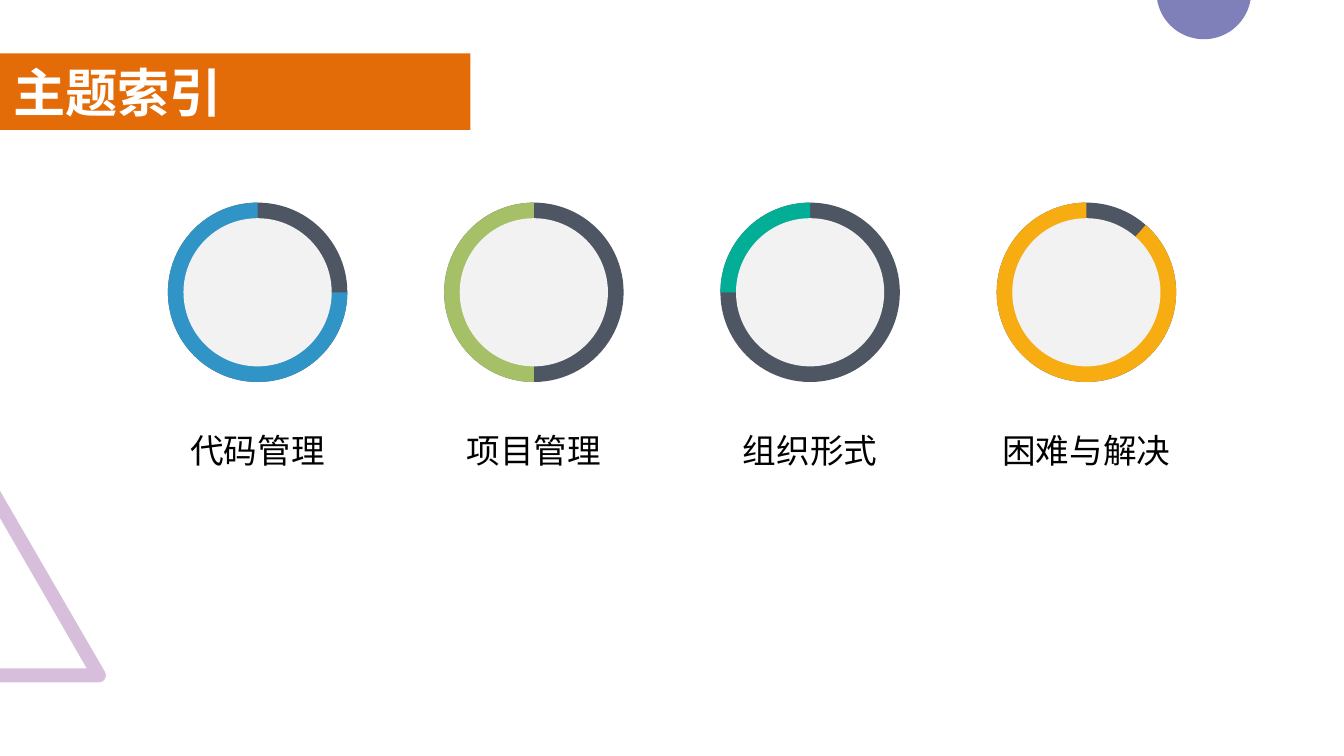
from math import cos, radians, sin

from lxml.etree import SubElement
from pptx import Presentation
from pptx.dml.color import RGBColor
from pptx.enum.shapes import MSO_SHAPE as Preset
from pptx.enum.text import PP_ALIGN as Align
from pptx.oxml.ns import qn
from pptx.util import Inches, Pt

WIDTH, HEIGHT = 13.33, 7.5
COLUMN_LEFT, COLUMN = 1.185, 2.74
RING_ROW, LABEL_ROW = 2.9, 4.27
RING, DISC, LABEL = 1.78, 1.47, 2.25
BANNER = (0, 0.53, 0.35 * WIDTH, 0.76)
CJK = "Noto Sans CJK SC"
TOPICS = [
    ("代码管理", "3194C6", 0),
    ("项目管理", "A5C067", 90),
    ("组织形式", "03AE97", 180),
    ("困难与解决", "F7AC12", 311.4),
]


def paint(shape, color):
    shape.fill.solid()
    shape.fill.fore_color.rgb = RGBColor.from_string(color)
    shape.line.fill.background()
    shape.shadow.inherit = False
    return shape


def add_block(shapes, preset, frame, color):
    return paint(shapes.add_shape(preset, *map(Inches, frame)), color)


def add_round(shapes, preset, center, size, color):
    frame = (center - size / 2, RING_ROW - size / 2, size, size)
    return add_block(shapes, preset, frame, color)


def add_outline(page, points, color):
    start, *rest = [(Inches(x), Inches(y)) for x, y in points]
    builder = page.shapes.build_freeform(*start)
    builder.add_line_segments(rest, close=True)
    return paint(builder.convert_to_shape(), color)


def arc(x, y, radius, start, end, steps):
    angles = [radians(start + (end - start) * step / steps) for step in range(steps + 1)]
    return [(x + radius * cos(angle), y + radius * sin(angle)) for angle in angles]


def add_text(page, frame, text, size, color, font, inset=(0, 0)):
    box = page.shapes.add_textbox(*map(Inches, frame))
    text_frame = box.text_frame
    text_frame.word_wrap = True
    text_frame.margin_left = text_frame.margin_right = Inches(inset[0])
    text_frame.margin_top = text_frame.margin_bottom = Inches(inset[1])
    text_frame.text = text
    para = text_frame.paragraphs[0]
    span = para.runs[0]
    span.font.size = Pt(size)
    span.font.name = font
    span.font.color.rgb = RGBColor.from_string(color)
    SubElement(span.font._element, qn("a:ea"), typeface=CJK)
    return para


def add_backdrop(page):
    corner = arc(0.98, 6.7, 0.07, 90, -30, 8)
    triangle = [(0, 6.77), *corner, (0, 4.87), (0, 5.14), (0.86, 6.63), (0, 6.63)]
    add_outline(page, triangle, "AF7FBA")
    add_outline(page, arc(11.94, -0.08, 0.47, 10, 170, 40), "7F7FBA")
    veil = add_block(page.shapes, Preset.RECTANGLE, (0, 0.91, WIDTH, 5.99), "FFFFFF")
    tint = veil._element.spPr.find(qn("a:solidFill"))[0]
    SubElement(tint, qn("a:alpha"), val="50000")


def add_title(page, text):
    add_block(page.shapes, Preset.RECTANGLE, BANNER, "E36C09")
    para = add_text(page, BANNER, text, 37.3, "FFFFFF", "Calibri", (0.13, 0.07))
    para.runs[0].font.bold = True


def add_topic(page, column, name, color, start):
    center = COLUMN_LEFT + COLUMN * (column + 0.5)
    shapes = page.shapes.add_group_shape().shapes
    add_round(shapes, Preset.OVAL, center, RING, "4E5663")
    sector = add_round(shapes, Preset.PIE, center, RING, color)
    for index, angle in enumerate((start, 270)):
        sector.adjustments[index] = angle * 0.6
    add_round(shapes, Preset.OVAL, center, DISC, "F2F2F2")
    frame = (center - LABEL / 2, LABEL_ROW, LABEL, 0.4)
    para = add_text(page, frame, name, 24, "000000", CJK)
    para.alignment = Align.CENTER
    para.space_before = Pt(3)


def main():
    deck = Presentation()
    deck.slide_width, deck.slide_height = Inches(WIDTH), Inches(HEIGHT)
    page = deck.slides.add_slide(deck.slide_layouts[6])
    add_backdrop(page)
    add_title(page, "主题索引")
    for column, topic in enumerate(TOPICS):
        add_topic(page, column, *topic)
    deck.save("out.pptx")


if __name__ == "__main__":
    main()
